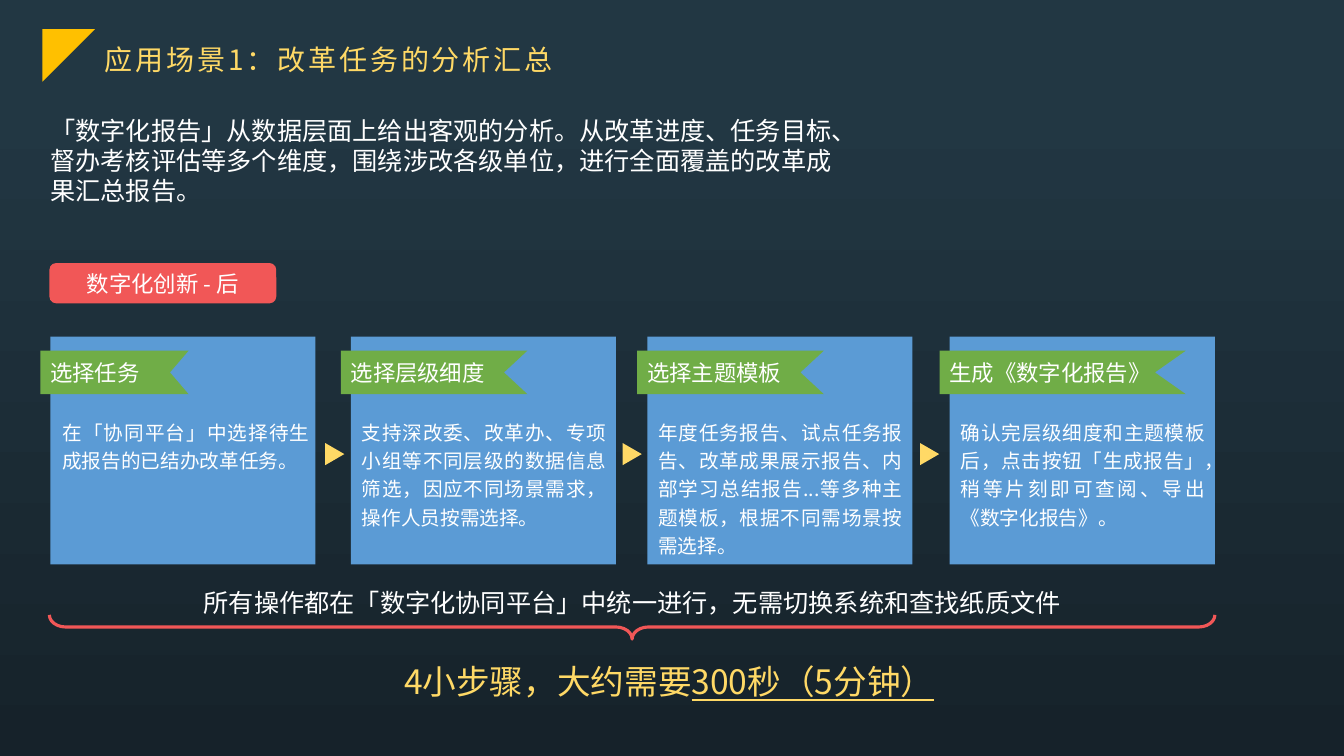
from dataclasses import dataclass

from lxml import etree
from pptx import Presentation
from pptx.dml.color import RGBColor
from pptx.enum import shapes, text
from pptx.oxml.ns import qn
from pptx.util import Inches, Pt

KIND = shapes.MSO_SHAPE
ALIGN = text.PP_ALIGN


@dataclass(frozen=True)
class Theme:
    font: str = "Noto Sans CJK SC"
    dark: str = "16222A"
    slate: str = "223743"
    white: str = "FFFFFF"
    yellow: str = "FFD966"
    amber: str = "FFC000"
    red: str = "F15757"
    blue: str = "5B9BD5"
    green: str = "70AD47"
    small: int = 14
    label: int = 16
    body: int = 18
    title: int = 20
    big: int = 24


# Heading, flag width, card left, text left, text width, text
STEPS = [
    ("选择任务", 1.47, 0.5, 0.52, 2.65,
     "在「协同平台」中选择待生成报告的已结办改革任务。"),
    ("选择层级细度", 1.85, 3.48, 3.49, 2.62,
     "支持深改委、改革办、专项小组等不同层级的数据信息筛选，"
     "因应不同场景需求，操作人员按需选择。"),
    ("选择主题模板", 1.85, 6.42, 6.43, 2.62,
     "年度任务报告、试点任务报告、改革成果展示报告、内部学习总结报告"
     "...等多种主题模板，根据不同需场景按需选择。"),
    ("生成《数字化报告》", 2.44, 9.42, 9.43, 2.62,
     "确认完层级细度和主题模板后，点击按钮「生成报告」，"
     "稍等片刻即可查阅、导出《数字化报告》。"),
]


def color(code):
    return RGBColor.from_string(code)


class Deck:
    """Holds the theme and the slide being drawn."""

    def __init__(self, theme):
        self.theme = theme
        self.file = Presentation()
        self.file.slide_width = Inches(13.33)
        self.file.slide_height = Inches(7.5)
        self.slide = self.file.slides.add_slide(self.file.slide_layouts[6])

    def ground(self):
        fill = self.slide.background.fill
        fill.gradient()
        fill.gradient_angle = 90
        stops = ((0, self.theme.dark), (0.87, self.theme.slate))
        for stop, (place, code) in zip(fill.gradient_stops, stops):
            stop.position = place
            stop.color.rgb = color(code)

    def letter(self, shape, words, size, code=None, align=ALIGN.LEFT,
               anchor=text.MSO_ANCHOR.MIDDLE, space=None, track=None, under=""):
        """Fill a shape with one paragraph; the words in under are underlined."""
        frame = shape.text_frame
        frame.word_wrap = True
        frame.vertical_anchor = anchor
        para = frame.paragraphs[0]
        para.alignment = align
        if space:
            para.line_spacing = space
        for part, line in ((words, None), (under, True)):
            if not part:
                continue
            run = para.add_run()
            run.text = part
            font = run.font
            font.name = self.theme.font
            font.size = Pt(size)
            font.underline = line
            font.color.rgb = color(code or self.theme.white)
            props = run._r.get_or_add_rPr()
            east = etree.SubElement(props, qn("a:ea"))
            east.set("typeface", self.theme.font)
            if track:
                props.set("spc", str(track * 100))

    def label(self, box, words, size, grow=True, **style):
        shape = self.slide.shapes.add_textbox(*map(Inches, box))
        if grow:
            style.setdefault("anchor", text.MSO_ANCHOR.TOP)
            shape.text_frame.auto_size = text.MSO_AUTO_SIZE.SHAPE_TO_FIT_TEXT
        self.letter(shape, words, size, **style)
        return shape

    def paint(self, shape, code):
        shape.shadow.inherit = False
        shape.fill.solid()
        shape.fill.fore_color.rgb = color(code)
        shape.line.fill.background()
        return shape

    def block(self, kind, box, code, turn=0):
        shape = self.slide.shapes.add_shape(kind, *map(Inches, box))
        shape.rotation = turn
        return self.paint(shape, code)

    def brace(self, box, code):
        shape = self.slide.shapes.add_shape(KIND.LEFT_BRACE, *map(Inches, box))
        shape.rotation = 270
        shape.adjustments[0] = 0.67
        shape.adjustments[1] = 0.5
        shape.shadow.inherit = False
        shape.fill.background()
        shape.line.color.rgb = color(code)
        shape.line.width = Pt(2.25)

    def flag(self, left, top, width, height, words):
        """Draw a ribbon with a notch cut into its right end."""
        right, low = left + width, top + height
        notch = (right - width / 8, top + height / 2)
        points = [(right, top), notch, (right, low), (left, low)]
        form = self.slide.shapes.build_freeform(
            Inches(left), Inches(top), scale=1.0)
        form.add_line_segments(
            [(Inches(x), Inches(y)) for x, y in points], close=True)
        shape = self.paint(form.convert_to_shape(), self.theme.green)
        self.letter(shape, words, self.theme.label)

    def step(self, head, width, left, inner, span, words):
        self.block(KIND.RECTANGLE, (left, 3.34, 2.63, 2.26), self.theme.blue)
        self.label((inner, 4.08, span, 1.23), words, self.theme.small,
                   align=ALIGN.JUSTIFY, space=1.2)
        self.flag(left - 0.1, 3.48, width, 0.43, head)


def main():
    theme = Theme()
    deck = Deck(theme)
    deck.ground()

    deck.block(KIND.RIGHT_TRIANGLE, (0.42, 0.29, 0.52, 0.52), theme.amber, 90)
    title = deck.label((0.93, 0.29, 7.25, 0.59), "应用场景1：改革任务的分析汇总",
                       theme.title, grow=False, code=theme.yellow, track=2)
    title.text_frame.margin_left = Inches(0.11)
    deck.label((0.4, 1.09, 8.03, 1.01),
               "「数字化报告」从数据层面上给出客观的分析。从改革进度、任务目标、"
               "督办考核评估等多个维度，围绕涉改各级单位，"
               "进行全面覆盖的改革成果汇总报告。", theme.body)
    badge = deck.block(KIND.ROUNDED_RECTANGLE, (0.49, 2.61, 2.25, 0.4), theme.red)
    deck.letter(badge, "数字化创新 - 后", theme.label, align=ALIGN.CENTER)

    for step in STEPS:
        deck.step(*step)
    for i in range(len(STEPS) - 1):
        deck.block(KIND.ISOSCELES_TRIANGLE,
                   (3.21 + 2.95 * i, 4.41, 0.22, 0.19), theme.yellow, 90)

    deck.label((0.49, 5.78, 11.56, 0.4),
               "所有操作都在「数字化协同平台」中统一进行，无需切换系统和查找纸质文件",
               theme.body, align=ALIGN.CENTER)
    deck.brace((6.15, 0.44, 0.24, 11.56), theme.red)
    deck.label((3.91, 6.51, 5.96, 0.5), "4小步骤，大约需要", theme.big,
               code=theme.yellow, under="300秒（5分钟）")
    deck.file.save("out.pptx")


if __name__ == "__main__":
    main()
